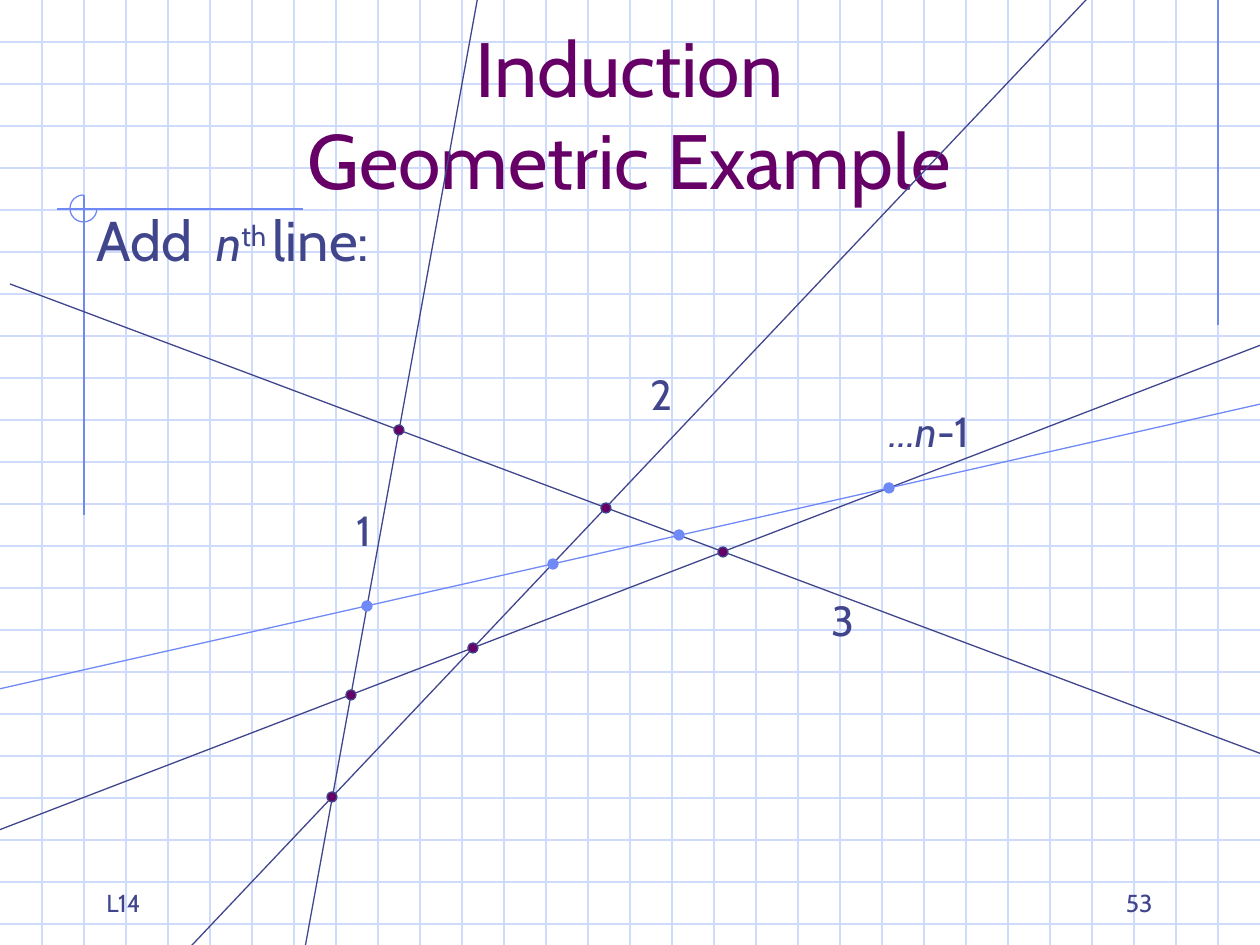
from itertools import combinations

from lxml.etree import SubElement
from pptx import Presentation
from pptx.dml.color import RGBColor
from pptx.enum.shapes import MSO_CONNECTOR, MSO_SHAPE
from pptx.enum.text import MSO_ANCHOR, MSO_AUTO_SIZE, PP_ALIGN
from pptx.oxml.ns import qn
from pptx.util import Emu, Pt

PX = 914400 // 126
W, H = 1260, 945
INK, BLUE, GRID, PLUM = "40458C", "6F89F7", "CFDBFD", "660066"


def color(value):
    return RGBColor.from_string(value)


def px(*lengths):
    return [Emu(round(v * PX)) for v in lengths]


class Board:
    font = "Cabin"
    line_width = Pt(0.74)

    def __init__(self, slide):
        self.s = slide

    def line(self, x1, y1, x2, y2, stroke):
        c = self.s.shapes.add_connector(MSO_CONNECTOR.STRAIGHT, *px(x1, y1, x2, y2))
        c.line.color.rgb = color(stroke)
        c.line.width = self.line_width
        SubElement(c._element.spPr, qn("a:effectLst"))

    def shape(self, kind, x, y, w, h, stroke, fill=None):
        sp = self.s.shapes.add_shape(kind, *px(x, y, w, h))
        sp.shadow.inherit = False
        if fill:
            sp.fill.solid()
            sp.fill.fore_color.rgb = color(fill)
        else:
            sp.fill.background()
        sp.line.color.rgb = color(stroke)
        sp.line.width = self.line_width
        return sp

    def dot(self, x, y, stroke, fill, size=10):
        self.shape(MSO_SHAPE.OVAL, x - size / 2, y - size / 2, size, size, stroke, fill)

    def text(self, x, y, w, h, runs, size, fill=INK, align=PP_ALIGN.LEFT,
             anchor=MSO_ANCHOR.TOP, wrap=True, before=0):
        """Each run is (text, options); a "\\n" text is a line break."""
        tf = self.s.shapes.add_textbox(*px(x, y, w, h)).text_frame
        tf.word_wrap = wrap
        tf.auto_size = MSO_AUTO_SIZE.NONE if wrap else MSO_AUTO_SIZE.SHAPE_TO_FIT_TEXT
        tf.vertical_anchor = anchor
        p = tf.paragraphs[0]
        p.alignment = align
        p.space_before = Pt(before)
        for words, opts in runs:
            if words == "\n":
                p.add_line_break()
                continue
            r = p.add_run()
            r.text = words
            r.font.name = self.font
            r.font.size = Pt(opts.get("size", size))
            r.font.color.rgb = color(fill)
            r.font.italic = opts.get("italic", False)
            if "raised" in opts:
                r.font._element.set("baseline", str(opts["raised"] * 1000))


def crossing(a, b):
    """Point where two lines (x1, y1, x2, y2) meet."""
    ax, ay, bx, by = a[2] - a[0], a[3] - a[1], b[2] - b[0], b[3] - b[1]
    t = ((b[0] - a[0]) * by - (b[1] - a[1]) * bx) / (ax * by - ay * bx)
    return round(a[0] + t * ax), round(a[1] + t * ay)


prs = Presentation()
prs.slide_width, prs.slide_height = px(W, H)
board = Board(prs.slides.add_slide(prs.slide_layouts[6]))

# Graph paper
STEP = 42
for y in range(STEP, H, STEP):
    board.line(0, y, W, y, GRID)
for x in range(STEP, W, STEP):
    board.line(x, 0, x, H, GRID)

# Margin rules and corner mark
board.line(1218, 0, 1218, 325, BLUE)
board.line(303, 209, 57, 209, BLUE)
board.line(84, 195, 84, 515, BLUE)
arc = board.shape(MSO_SHAPE.ARC, 70, 195, 27, 27, BLUE)
arc.adjustments[0] = 0
arc.adjustments[1] = 162  # 270 degrees

# Title and statement
board.text(94, 53, 1071, 158,
           [("Induction", {}), ("\n", {}), ("Geometric Example", {})],
           44, PLUM, PP_ALIGN.CENTER, MSO_ANCHOR.BOTTOM)
board.text(84, 199, 1071, 714,
           [("Add ", {}), (" ", {"size": 28}), ("n", {"size": 28, "italic": True}),
            ("th ", {"size": 28, "raised": 30}), ("line:", {})], 32, before=8)

# Existing lines, then the added one
old_lines = [(10, 284, 1323, 777), (-53, 850, 1313, 325),
             (73, 1071, 1155, -73), (273, 1124, 504, -147)]
new_line = (-63, 703, 1376, 378)
for ends in old_lines:
    board.line(*ends, INK)
board.line(*new_line, BLUE)

# Dots at every crossing
for a, b in combinations(old_lines, 2):
    board.dot(*crossing(a, b), INK, PLUM)
for old in old_lines:
    board.dot(*crossing(old, new_line), BLUE, BLUE)

# Line labels
for x, y, w, runs in [(344, 498, 49, [("1", {})]),
                      (638, 362, 49, [("2", {})]),
                      (877, 399, 118, [("…n", {"italic": True}), ("-1", {})]),
                      (819, 588, 49, [("3", {})])]:
    board.text(x, y, w, 63, runs, 24, wrap=False)

# Footer
for x, words, align in [(903, "53", PP_ALIGN.RIGHT), (94, "L14", PP_ALIGN.LEFT)]:
    board.text(x, 861, 262, 63, [(words, {})], 14, align=align, anchor=MSO_ANCHOR.BOTTOM)

prs.save("out.pptx")
